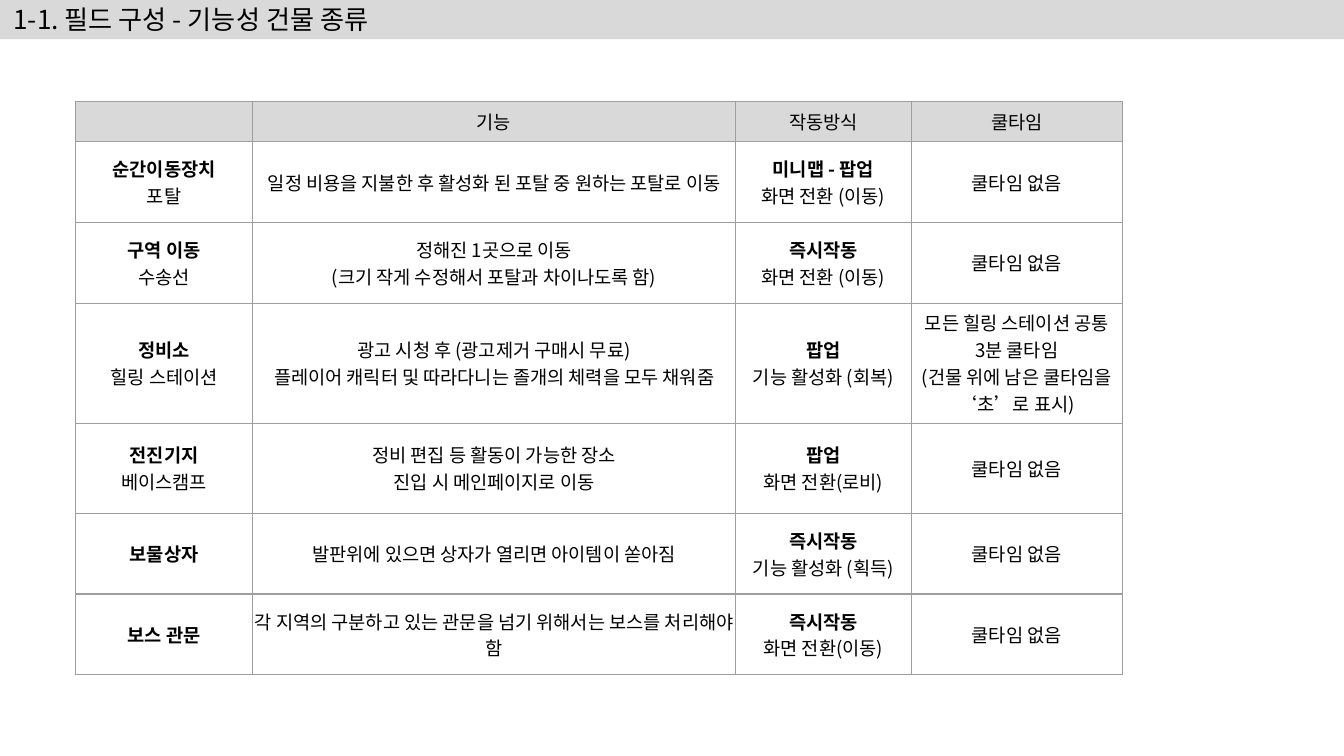
from lxml.etree import SubElement
from pptx import Presentation
from pptx.dml.color import RGBColor
from pptx.enum.text import MSO_ANCHOR, MSO_AUTO_SIZE, PP_ALIGN
from pptx.oxml.ns import qn
from pptx.util import Pt

FONT = "Noto Sans CJK KR"
GREY, WHITE, BLACK, BORDER = "D9D9D9", "FFFFFF", "000000", "9E9E9E"
BOLD_COLS = (0, 2)  # name and trigger start with a bold line
COLS = [95, 258.5, 94.3, 113]
ROWS = [21.6, 43.2, 43.2, 64.3, 48.4, 43.2, 43.2]
NO_COOLDOWN = "쿨타임 없음"
BUILDINGS = [
    ["", "기능", "작동방식", "쿨타임"],
    ["순간이동장치\n포탈", "일정 비용을 지불한 후 활성화 된 포탈 중 원하는 포탈로 이동",
     "미니맵 - 팝업\n화면 전환 (이동)", NO_COOLDOWN],
    ["구역 이동\n수송선", "정해진 1곳으로 이동\n(크기 작게 수정해서 포탈과 차이나도록 함)",
     "즉시작동\n화면 전환 (이동)", NO_COOLDOWN],
    ["정비소\n힐링 스테이션",
     "광고 시청 후 (광고제거 구매시 무료)\n플레이어 캐릭터 및 따라다니는 졸개의 체력을 모두 채워줌",
     "팝업\n기능 활성화 (회복)",
     "모든 힐링 스테이션 공통\n3분 쿨타임\n(건물 위에 남은 쿨타임을 ‘초’로 표시)"],
    ["전진기지\n베이스캠프", "정비 편집 등 활동이 가능한 장소\n진입 시 메인페이지로 이동",
     "팝업\n화면 전환(로비)", NO_COOLDOWN],
    ["보물상자", "발판위에 있으면 상자가 열리면 아이템이 쏟아짐",
     "즉시작동\n기능 활성화 (획득)", NO_COOLDOWN],
    ["보스 관문", "각 지역의 구분하고 있는 관문을 넘기 위해서는 보스를 처리해야 함",
     "즉시작동\n화면 전환(이동)", NO_COOLDOWN],
]


def rgb(value):
    return RGBColor.from_string(value)


def write(tf, text, size=10, color=BLACK, align=PP_ALIGN.CENTER, bold_first=False):
    """Write one paragraph per line of text."""
    for i, line in enumerate(text.split("\n")):
        p = tf.add_paragraph() if i else tf.paragraphs[0]
        p.alignment = align
        r = p.add_run()
        r.text = line
        r.font.name, r.font.size = FONT, Pt(size)
        r.font.bold = bold_first and i == 0
        r.font.color.rgb = rgb(color)
        SubElement(r.font._element, qn("a:ea"), typeface=FONT)


def set_borders(cell, color, width):
    tc_pr = cell._tc.get_or_add_tcPr()
    for i, side in enumerate(("lnL", "lnR", "lnT", "lnB")):
        ln = SubElement(tc_pr, qn(f"a:{side}"), w=str(Pt(width)))
        fill = SubElement(ln, qn("a:solidFill"))
        SubElement(fill, qn("a:srgbClr"), val=color)
        tc_pr.remove(ln)
        tc_pr.insert(i, ln)  # borders come before the fill


def add_title(s, text, left, top, width, height):
    sp = s.shapes.title
    sp.left, sp.top, sp.width, sp.height = Pt(left), Pt(top), Pt(width), Pt(height)
    sp.fill.solid()
    sp.fill.fore_color.rgb = rgb(GREY)
    tf = sp.text_frame
    tf.auto_size, tf.word_wrap = MSO_AUTO_SIZE.NONE, True
    tf.vertical_anchor = MSO_ANCHOR.MIDDLE
    tf.margin_left = tf.margin_right = Pt(7.2)
    tf.margin_top = tf.margin_bottom = 0
    write(tf, text, size=14, align=PP_ALIGN.LEFT)


def add_building_table(s, left, top):
    table = s.shapes.add_table(len(ROWS), len(COLS), Pt(left), Pt(top),
                               Pt(sum(COLS)), Pt(sum(ROWS))).table
    table.first_row = table.horz_banding = False
    for column, width in zip(table.columns, COLS):
        column.width = Pt(width)
    for i, (height, texts) in enumerate(zip(ROWS, BUILDINGS)):
        table.rows[i].height = Pt(height)
        for j, text in enumerate(texts):
            cell = table.cell(i, j)
            cell.margin_left = cell.margin_right = 0
            cell.margin_top = cell.margin_bottom = 0
            cell.vertical_anchor = MSO_ANCHOR.MIDDLE
            cell.fill.solid()
            cell.fill.fore_color.rgb = rgb(WHITE if i else GREY)
            set_borders(cell, BORDER, 0.75)
            write(cell.text_frame, text, bold_first=i > 0 and j in BOLD_COLS)


def main():
    prs = Presentation()
    prs.slide_width, prs.slide_height = Pt(720), Pt(405)
    s = prs.slides.add_slide(prs.slide_layouts[5])  # title only
    # Title bar
    add_title(s, "1-1. 필드 구성 - 기능성 건물 종류", 0, -1, 720, 22)
    # Table of functional buildings
    add_building_table(s, 40.4, 54.4)
    prs.save("out.pptx")


if __name__ == "__main__":
    main()
